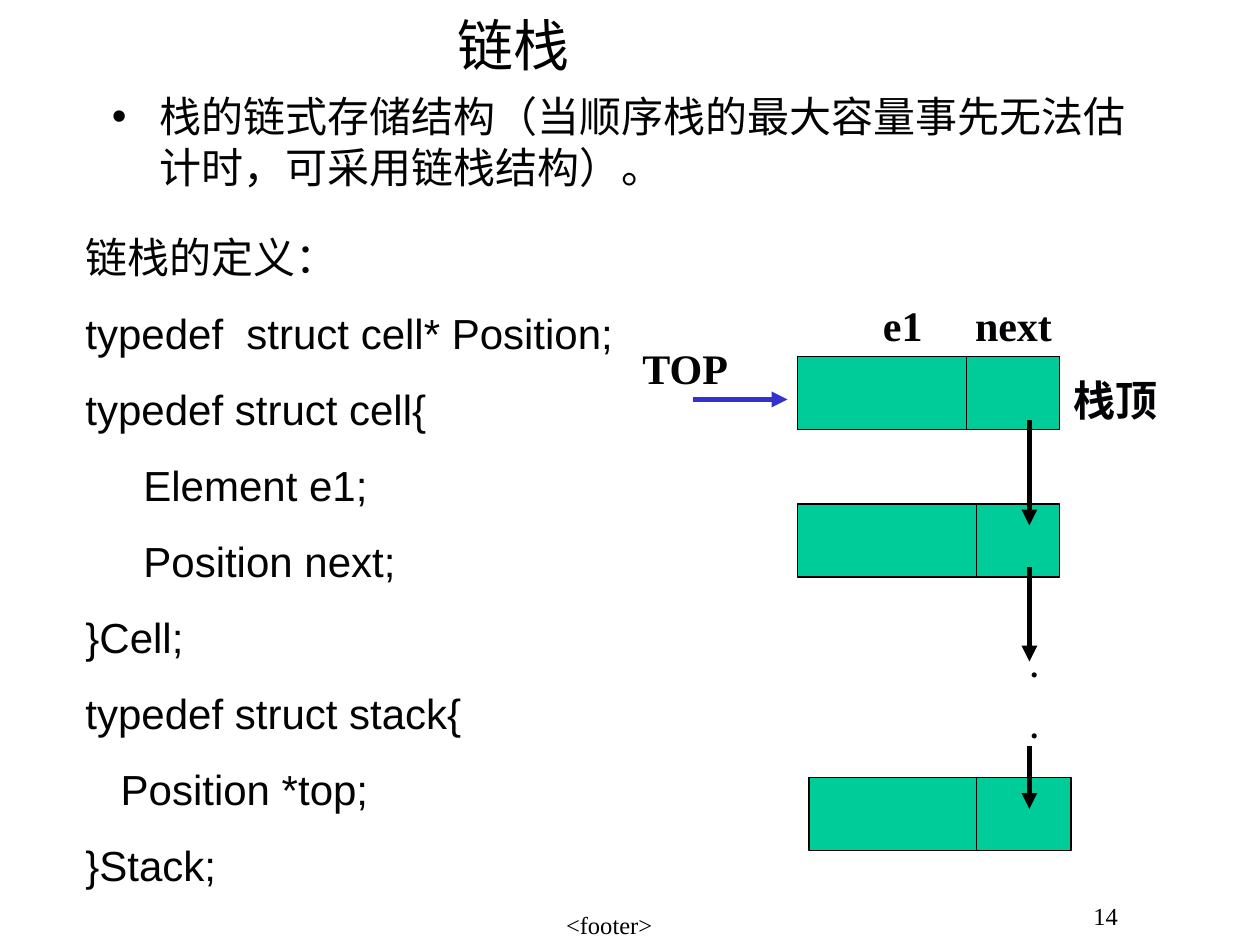
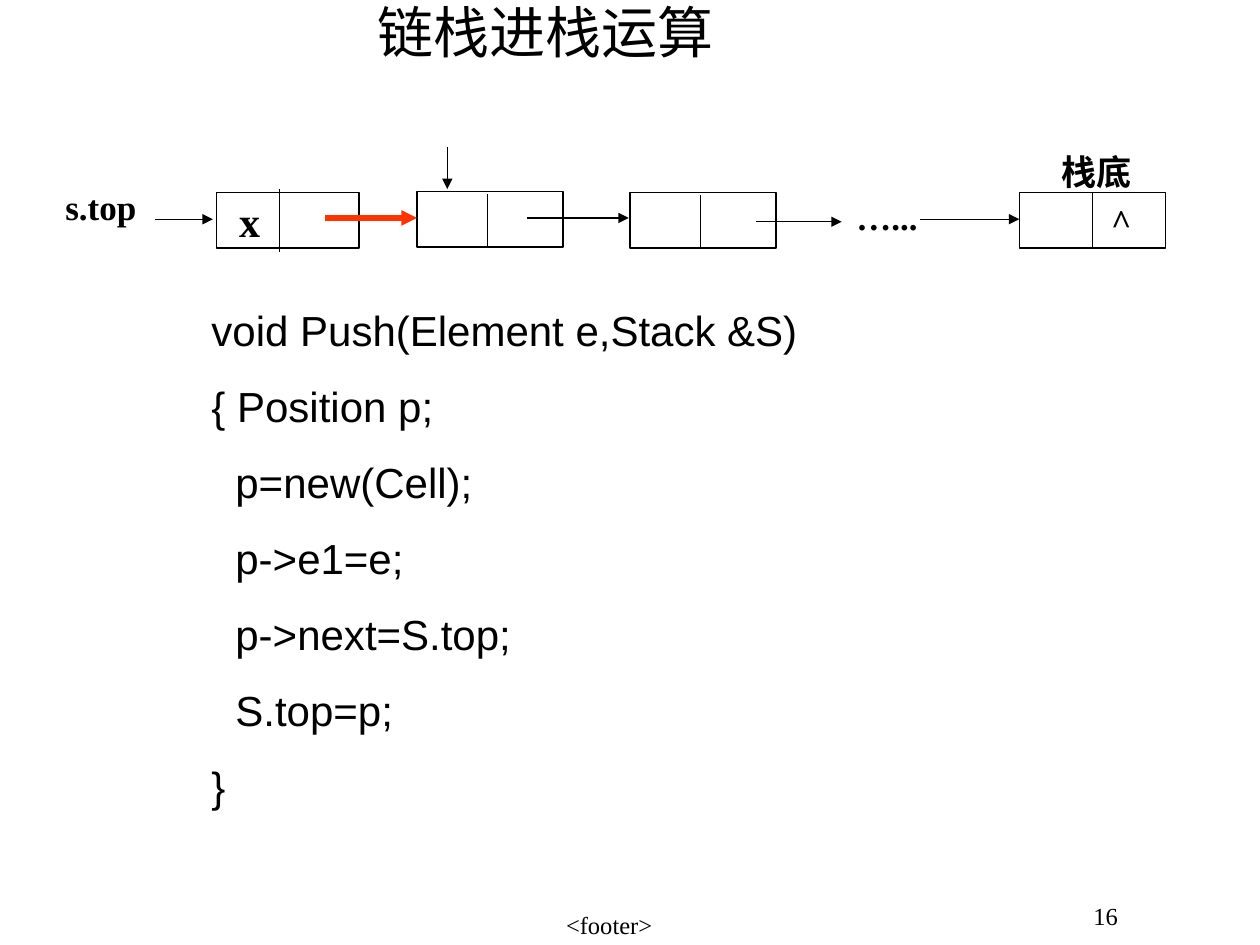
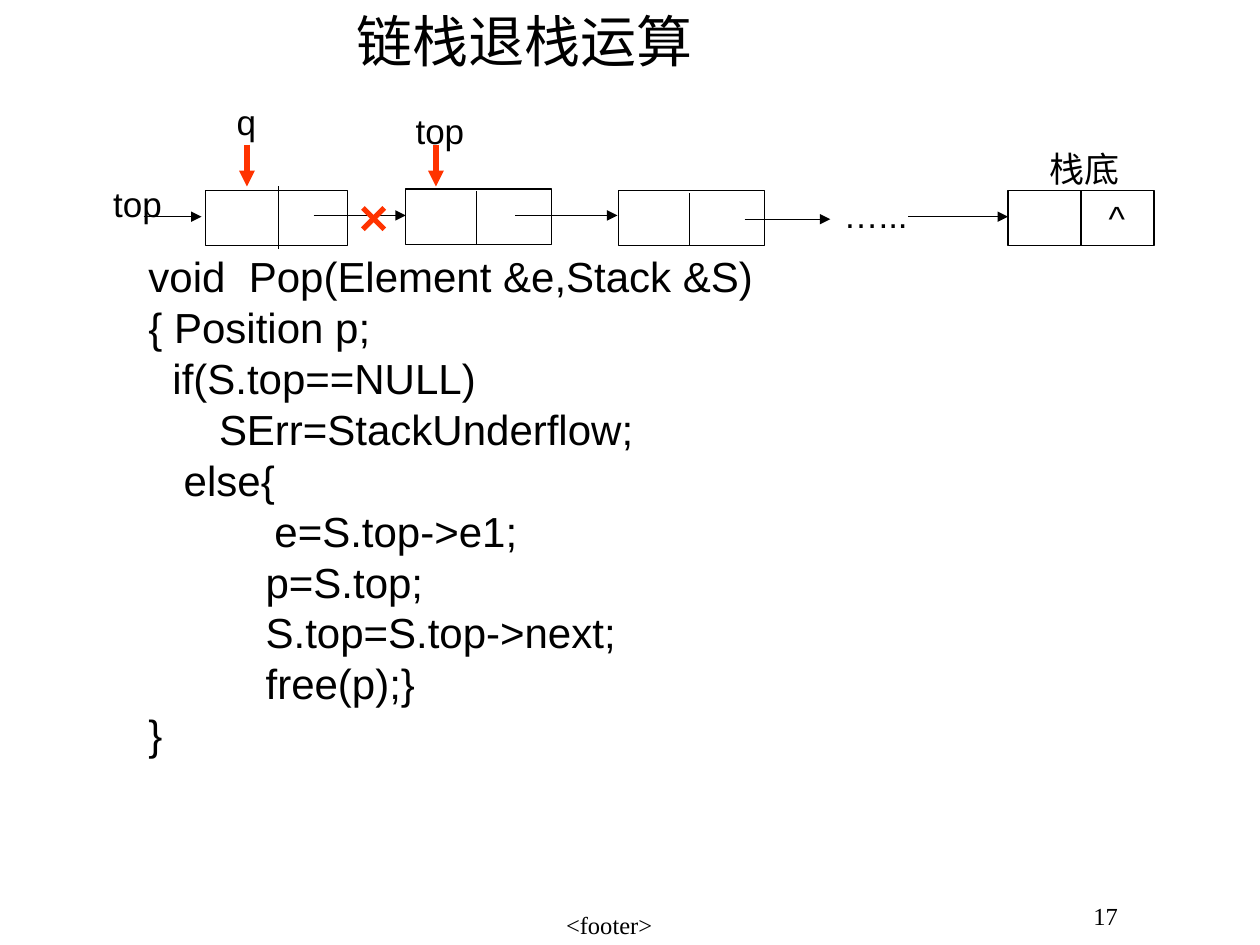
from lxml import etree
from pptx import Presentation
from pptx import util as u
from pptx.dml.color import RGBColor
from pptx.enum import shapes, text
from pptx.oxml import ns

COLORS = {
    "black": "000000",
    "ink": "030305",
    "green": "00CC99",
    "blue": "3333CC",
    "red": "FF3300",
}
SERIF, SANS, CJK = "Times New Roman", "Arial", "Noto Sans CJK SC"
ALIGN = text.PP_ALIGN
ANCHOR = text.MSO_ANCHOR
NODE_W, NODE_H = 1.16, 0.44


def rgb(name):
    return RGBColor.from_string(COLORS[name])


def add_xml(parent, tag, **attrs):
    return etree.SubElement(parent, ns.qn(tag), attrs)


def write(tf, lines, size=24, font=SANS, color="black", bold=False, align=ALIGN.LEFT,
          anchor=ANCHOR.TOP, before=0, spacing=None, indent=0, hanging=0, bullet=None):
    tf.word_wrap = True
    tf.vertical_anchor = anchor
    tf.margin_left = tf.margin_right = u.Inches(0.1)
    tf.margin_top = tf.margin_bottom = u.Inches(0.05)
    for i, line in enumerate([lines] if isinstance(lines, str) else lines):
        content, left = (line, indent) if isinstance(line, str) else line
        p = tf.paragraphs[0] if i == 0 else tf.add_paragraph()
        p.alignment = align
        p.space_before = u.Pt(before)
        if spacing:
            p.line_spacing = spacing
        pPr = p._p.get_or_add_pPr()
        pPr.set("marL", str(u.Inches(left)))
        pPr.set("indent", str(u.Inches(-hanging)))
        if bullet:
            add_xml(add_xml(pPr, "a:buClr"), "a:srgbClr", val=COLORS[color])
            add_xml(pPr, "a:buFont", typeface=font)
            add_xml(pPr, "a:buChar", char=bullet)
        r = p.add_run()
        r.text = content
        r.font.size = u.Pt(size)
        r.font.bold = bold
        r.font.color.rgb = rgb(color)
        r.font.name = font
        add_xml(r._r.get_or_add_rPr(), "a:ea", typeface=CJK)


class Deck:
    def __init__(self):
        self.prs = Presentation()
        self.prs.slide_width = u.Inches(10)
        self.prs.slide_height = u.Inches(7.5)
        self.s = None

    def slide(self, number, title, left, width, height):
        self.s = self.prs.slides.add_slide(self.prs.slide_layouts[6])
        self.label(number, 8.58, 7.08, 0.5, 0.42, size=14, font=SERIF, spacing=1.1)
        self.label("<footer>", 3.25, 7.17, 3.17, 0.33, size=14, font=SERIF, align=ALIGN.CENTER)
        self.label(title, left, 0, width, height, size=32, font=CJK,
                   align=ALIGN.CENTER, anchor=ANCHOR.MIDDLE)

    def label(self, lines, x, y, w, h, **style):
        sp = self.s.shapes.add_textbox(*map(u.Inches, (x, y, w, h)))
        write(sp.text_frame, lines, **style)

    def box(self, x, y, w, h, fill=None):
        sp = self.s.shapes.add_shape(shapes.MSO_SHAPE.RECTANGLE, *map(u.Inches, (x, y, w, h)))
        sp.shadow.inherit = False
        if fill:
            sp.fill.solid()
            sp.fill.fore_color.rgb = rgb(fill)
        else:
            sp.fill.background()
        sp.line.color.rgb = rgb("black")
        sp.line.width = u.Pt(0.75)
        return sp

    def line(self, x1, y1, x2, y2, color="black", width=0.75, arrow=False):
        c = self.s.shapes.add_connector(shapes.MSO_CONNECTOR.STRAIGHT,
                                        *map(u.Inches, (x1, y1, x2, y2)))
        c.line.color.rgb = rgb(color)
        c.line.width = u.Pt(width)
        if arrow:
            add_xml(c.line._get_or_add_ln(), "a:tailEnd", type="triangle")
        add_xml(c._element.spPr, "a:effectLst")

    def arrow(self, x1, y1, x2, y2, **style):
        self.line(x1, y1, x2, y2, arrow=True, **style)

    def cell(self, x, y, divider):
        self.box(x, y, 2.08, 0.58, "green")
        self.line(divider, y, divider, y + 0.58)

    def linked_list(self, dx=0, dy=0, nil_indent=0.63, link=None, **style):
        self.box(1.72 + dx, 1.53 + dy, 1.13, NODE_H)
        divider = 2.22 + dx / 9
        self.line(divider, 1.5 + dy, divider, 2 + dy)
        for x, y in ((3.31, 1.52), (5, 1.53)):
            self.box(x + dx, y + dy, NODE_W, NODE_H)
            self.line(x + dx + 0.56, y + dy + 0.02, x + dx + 0.56, y + dy + NODE_H)
        bottom = self.box(8.09 + dx, 1.53 + dy, NODE_W, NODE_H)
        write(bottom.text_frame, "^", indent=nil_indent, anchor=ANCHOR.MIDDLE, **style)
        self.line(8.67 + dx, 1.53 + dy, 8.67 + dx, 1.97 + dy)
        for x1, x2, y in ((1.23, 1.69, 1.74), (4.18, 4.99, 1.73),
                          (6, 6.68, 1.76), (7.3, 8.09, 1.74)):
            self.arrow(x1 + dx, y + dy, x2 + dx, y + dy)
        self.arrow(2.58 + dx, 1.73 + dy, 3.31 + dx, 1.73 + dy, **(link or {}))
        for content, x, y in (("…...", 6.54, 1.5), ("栈底", 8.2, 1.14)):
            self.label(content, x + dx, y + dy, 1, NODE_H,
                       align=ALIGN.CENTER, anchor=ANCHOR.MIDDLE, **style)


def definition_slide(d):
    d.slide("14", "链栈", 0.58, 7, 0.7)
    d.label("栈的链式存储结构（当顺序栈的最大容量事先无法估计时，可采用链栈结构）。",
            0.79, 0.67, 8.42, 1.32, color="ink", before=6, indent=0.38, hanging=0.38, bullet="•")
    for x, y, divider in ((6.33, 2.83, 7.67), (6.33, 4, 7.75), (6.42, 6.17, 7.75)):
        d.cell(x, y, divider)
    d.arrow(5.5, 3.17, 6.25, 3.17, color="blue", width=3)
    for y1, y2 in ((3.33, 4.17), (4.5, 5.25), (5.92, 6.42)):
        d.arrow(8.17, y1, 8.17, y2, width=3)
    bold = dict(font=SERIF, color="ink", bold=True)
    for content, x, y, w in (("TOP", 5, 2.67, 0.92), ("e1", 6.91, 2.33, 0.6),
                             ("next", 7.64, 2.33, 0.86), ("栈顶", 8.42, 2.92, 1.08)):
        d.label(content, x, y, w, 0.5, before=15, **bold)
    d.label([".", "."], 8.08, 5.08, 0.5, 0.85, size=18, before=13, **bold)
    d.label(["链栈的定义：",
             "typedef  struct cell* Position;",
             "typedef struct cell{",
             ("Element e1;", 0.46),
             ("Position next;", 0.46),
             "}Cell;",
             "typedef struct stack{",
             ("Position *top;", 0.28),
             "}Stack;"],
            0.58, 1.67, 4.58, 5.45, color="ink", before=6, spacing=1.3)


def push_slide(d):
    d.slide("16", "链栈进栈运算", 0.87, 6.92, 0.5)
    d.label(["void Push(Element e,Stack &S)",
             "{ Position p;",
             ("p=new(Cell);", 0.19),
             ("p->e1=e;", 0.19),
             ("p->next=S.top;", 0.19),
             ("S.top=p;", 0.19),
             "}"],
            1.58, 2.25, 7.58, 4.24, before=6, spacing=1.3)
    bold = dict(font=SERIF, bold=True)
    d.linked_list(link=dict(color="red", width=3), size=20, **bold)
    d.arrow(3.55, 1.17, 3.55, 1.5)
    d.label("x", 1.8, 1.5, 0.42, 0.5, **bold)
    d.label("s.top", 0.42, 1.42, 0.92, NODE_H, size=20, **bold)


def pop_slide(d):
    d.slide("17", "链栈退栈运算", 1.83, 4.67, 0.63)
    d.label(["void  Pop(Element &e,Stack &S)",
             "{ Position p;",
             ("if(S.top==NULL)", 0.19),
             ("SErr=StackUnderflow;", 0.56),
             ("else{", 0.28),
             ("e=S.top->e1;", 1),
             ("p=S.top;", 0.93),
             ("S.top=S.top->next;", 0.93),
             ("free(p);}", 0.93),
             "}"],
            1.08, 2.02, 7.42, 4.05, before=6, spacing=0.8)
    d.linked_list(dx=-0.09, dy=-0.02, nil_indent=0.7, size=20)
    for content, x, y in (("top", 0.8, 1.4), ("q", 1.78, 0.75), ("top", 3.2, 0.82)):
        d.label(content, x, y, 0.8, NODE_H, size=20)
    for x in (1.96, 3.46):
        d.arrow(x, 1.15, x, 1.48, color="red", width=3)
    for x1, x2 in ((2.88, 3.05), (3.05, 2.88)):
        d.line(x1, 1.65, x2, 1.82, color="red", width=3)


def main():
    d = Deck()
    definition_slide(d)
    push_slide(d)
    pop_slide(d)
    d.prs.save("out.pptx")


if __name__ == "__main__":
    main()
